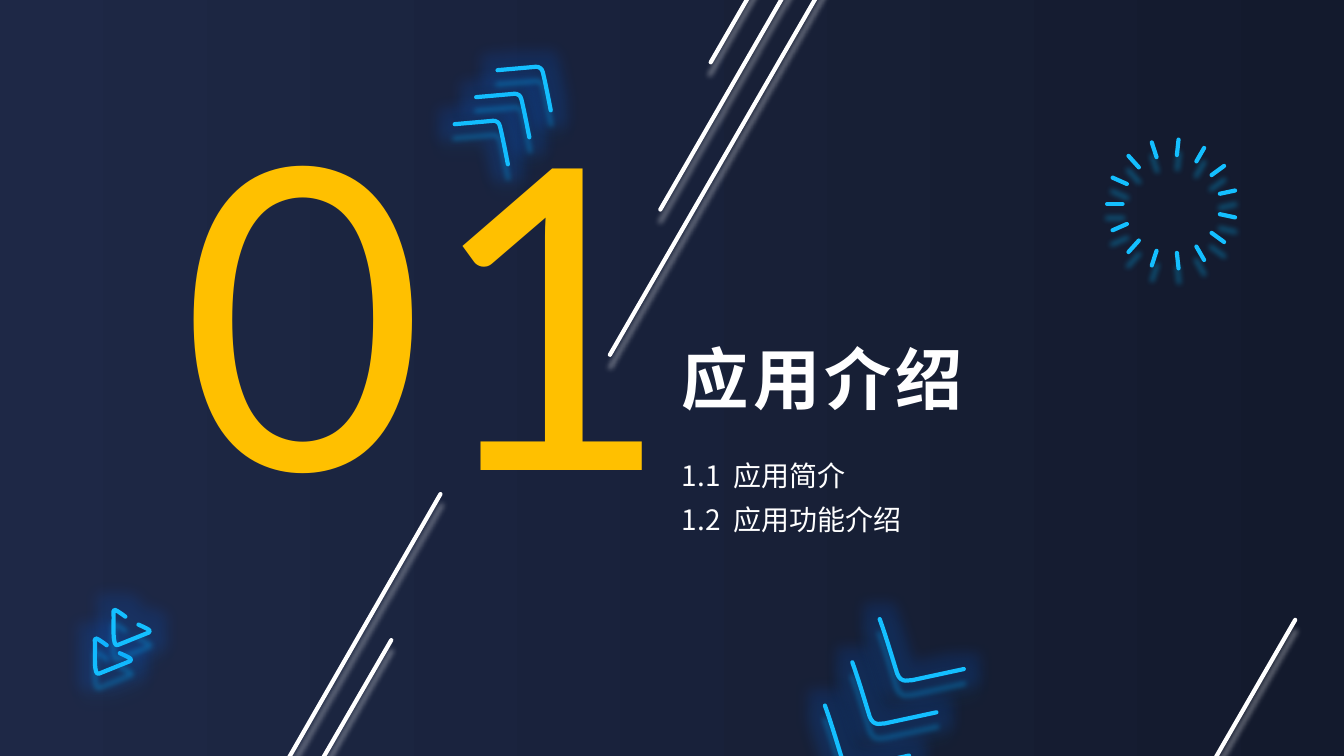
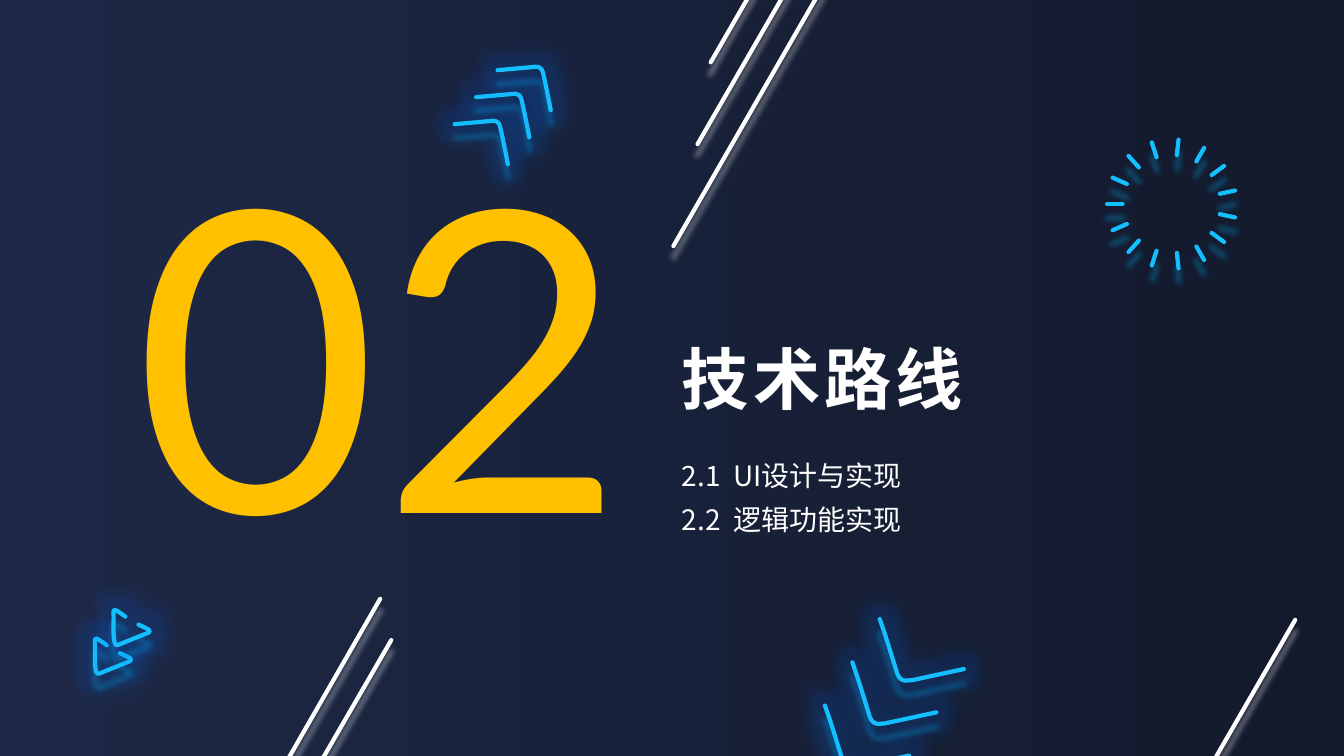
from math import cos, pi, sin

from lxml import etree
from pptx import Presentation
from pptx.dml.color import RGBColor
from pptx.enum.shapes import MSO_CONNECTOR
from pptx.enum.text import MSO_ANCHOR, MSO_AUTO_SIZE, PP_ALIGN
from pptx.oxml.ns import qn
from pptx.util import Cm, Pt

STRAIGHT = MSO_CONNECTOR.STRAIGHT
TOP = MSO_ANCHOR.TOP
LEFT, JUSTIFY = PP_ALIGN.LEFT, PP_ALIGN.JUSTIFY
NO_AUTOFIT = MSO_AUTO_SIZE.NONE

# Content: each stripe runs from one (x, y) to another, lengths in cm
SECTIONS = [
    {
        "number": "01", "number_at": (4.32, 1.15), "title": "应用介绍",
        "items": ["1.1  应用简介", "1.2  应用功能介绍"],
        "stripes": [((2.82, 26.85), (11.1, 12.45)),
                    ((23.67, -5.44), (15.37, 8.94)),
                    ((23.04, -5.82), (16.64, 5.28))],
    },
    {
        "number": "02", "number_at": (3.14, 2.24), "title": "技术路线",
        "items": ["2.1  UI设计与实现", "2.2  逻辑功能实现"],
        "stripes": [((2.82, 26.85), (9.58, 15.09)),
                    ((23.67, -5.44), (16.97, 6.2)),
                    ((23.04, -5.82), (17.58, 3.63))],
    },
]
SHARED_STRIPES = [((3.45, 27.2), (9.86, 16.13)),
                  ((22.38, -6.17), (17.91, 1.57)),
                  ((24.33, 30.0), (32.64, 15.62))]

# Shared look
COLORS = {
    "background_left": "1E2846", "background_right": "131A2D",
    "number": "FFC000", "text": "FFFFFF", "stripe": "FFFFFF",
    "neon": "14BFFF", "neon_shadow": "00B0F0", "glow": "0066FF",
}
NUMBER_FONT, TEXT_FONT = "Lato", "Noto Sans CJK SC"
SLIDE_WIDTH, SLIDE_HEIGHT = 33.87, 19.05
RING = {"center": (29.53, 5.14), "outer": 1.63, "inner": 1.24, "ticks": 15}

# Neon outlines: a pair is a line end, three pairs are a curve
NEON_SETS = [
    {"count": 2, "step": (0.47, -0.72), "start": (3.02, 16.46), "path": [
        ((3.12, 16.51), (3.4, 16.61), (3.28, 16.66)), (2.51, 16.97),
        ((2.34, 17.07), (2.41, 16.43), (2.39, 16.13)),
        ((2.36, 16.0), (2.62, 16.21), (2.69, 16.26))]},
    {"count": 3, "step": (0.54, -0.68), "start": (12.8, 4.14), "path": [
        ((12.73, 3.78), (12.65, 3.38), (12.6, 3.18)),
        ((12.55, 3.0), (12.4, 3.05), (12.37, 3.05)), (11.46, 3.13)]},
    {"count": 3, "step": (-0.69, 1.09), "start": (22.17, 15.6), "path": [
        ((22.35, 16.1), (22.52, 16.69), (22.61, 16.97)),
        ((22.71, 17.25), (22.94, 17.12), (22.99, 17.14)), (24.29, 16.86)]},
]


def rgb(name):
    return RGBColor.from_string(COLORS[name])


def add_effect(effects, tag, color, alpha, **attributes):
    effect = etree.SubElement(effects, qn(tag), attributes)
    color_element = etree.SubElement(effect, qn("a:srgbClr"), val=COLORS[color])
    etree.SubElement(color_element, qn("a:alpha"), val=str(alpha * 1000))


def style_stroke(shape, color, shadow, distance, glow=False):
    """Round 3 pt stroke with a shadow below and an optional glow."""
    shape.line.color.rgb = rgb(color)
    shape.line.width = Pt(3)
    properties = shape._element.spPr
    line = properties.find(qn("a:ln"))
    line.set("cap", "rnd")
    etree.SubElement(line, qn("a:round"))
    effects = etree.SubElement(properties, qn("a:effectLst"))
    if glow:
        add_effect(effects, "a:glow", "glow", 14, rad=str(Pt(20)))
    add_effect(effects, "a:outerShdw", shadow, 40, blurRad=str(Pt(4)),
               dist=str(Pt(distance)), dir="5400000", algn="t",
               rotWithShape="0")


def add_line(slide, start, end, *style):
    line = slide.shapes.add_connector(
        STRAIGHT, *(Cm(value) for value in (*start, *end)))
    style_stroke(line, *style)


def add_ring(slide):
    center_x, center_y = RING["center"]
    for index in range(RING["ticks"]):
        angle = pi + 2 * pi * index / RING["ticks"]
        outer, inner = (
            (center_x + RING[edge] * cos(angle), center_y + RING[edge] * sin(angle))
            for edge in ("outer", "inner"))
        add_line(slide, outer, inner, "neon", "neon_shadow", 10)


def bend_curves(outline, path):
    """Merge each three control segments of a curve into one Bezier."""
    geometry = outline._element.spPr.find(".//" + qn("a:path"))
    segments = iter(geometry.findall(qn("a:lnTo")))
    for part in path:
        first = next(segments)
        if len(part) == 2:
            continue
        controls = [first, next(segments), next(segments)]
        curve = etree.Element(qn("a:cubicBezTo"))
        first.addprevious(curve)
        for segment in controls:
            curve.append(segment[0])
            geometry.remove(segment)


def add_neon_set(slide, neon):
    points = [neon["start"]]
    for part in neon["path"]:
        points.extend([part] if len(part) == 2 else part)
    step_x, step_y = neon["step"]
    for index in range(neon["count"]):
        moved = [(Cm(x + index * step_x), Cm(y + index * step_y)) for x, y in points]
        builder = slide.shapes.build_freeform(*moved[0])
        builder.add_line_segments(moved[1:], close=False)
        outline = builder.convert_to_shape()
        bend_curves(outline, neon["path"])
        outline.fill.background()
        style_stroke(outline, "neon", "neon_shadow", 10, glow=True)


def place(shape, left, top, width, height):
    shape.left, shape.top = Cm(left), Cm(top)
    shape.width, shape.height = Cm(width), Cm(height)
    frame = shape.text_frame
    frame.word_wrap = True
    frame.auto_size = NO_AUTOFIT
    frame.vertical_anchor = TOP
    return frame


def add_run(paragraph, text, font, size, color, bold=False, spacing=0,
            alignment=LEFT):
    paragraph.alignment = alignment
    run = paragraph.add_run()
    run.text = text
    run.font.size, run.font.bold = Pt(size), bold
    run.font.color.rgb = rgb(color)
    run.font.name = font
    properties = run._r.get_or_add_rPr()
    etree.SubElement(properties, qn("a:ea"), typeface=font)
    properties.set("spc", str(spacing * 100))


def add_items(frame, items):
    for index, text in enumerate(items):
        paragraph = frame.add_paragraph() if index else frame.paragraphs[0]
        properties = paragraph._p.get_or_add_pPr()
        properties.set("marL", "0")
        properties.set("indent", "0")
        etree.SubElement(properties, qn("a:buNone"))
        paragraph.line_spacing = 1.3
        paragraph.space_before = Pt(0)
        add_run(paragraph, text, TEXT_FONT, 20, "text", alignment=JUSTIFY)


def add_section(presentation, section):
    slide = presentation.slides.add_slide(presentation.slide_layouts[1])

    # Decoration
    for start, end in section["stripes"] + SHARED_STRIPES:
        add_line(slide, start, end, "stripe", "stripe", 8)
    add_ring(slide)
    for neon in NEON_SETS:
        add_neon_set(slide, neon)

    # Number, title and items
    number = place(slide.shapes.add_textbox(0, 0, 0, 0),
                   *section["number_at"], 20.29, 13.08)
    add_run(number.paragraphs[0], section["number"], NUMBER_FONT, 300,
            "number", spacing=3)
    title = place(slide.shapes.title, 16.93, 8.38, 14.02, 2.31)
    add_run(title.paragraphs[0], section["title"], TEXT_FONT, 48, "text",
            bold=True, spacing=3)
    body = place(slide.placeholders[1], 16.93, 11.18, 13.18, 2.36)
    add_items(body, section["items"])


def main():
    presentation = Presentation()
    presentation.slide_width = Cm(SLIDE_WIDTH)
    presentation.slide_height = Cm(SLIDE_HEIGHT)

    # Background for all slides
    fill = presentation.slide_master.background.fill
    fill.gradient()
    fill.gradient_angle = 0
    for stop, name in zip(fill.gradient_stops, ("background_left", "background_right")):
        stop.color.rgb = rgb(name)

    for section in SECTIONS:
        add_section(presentation, section)
    presentation.save("out.pptx")


if __name__ == "__main__":
    main()
